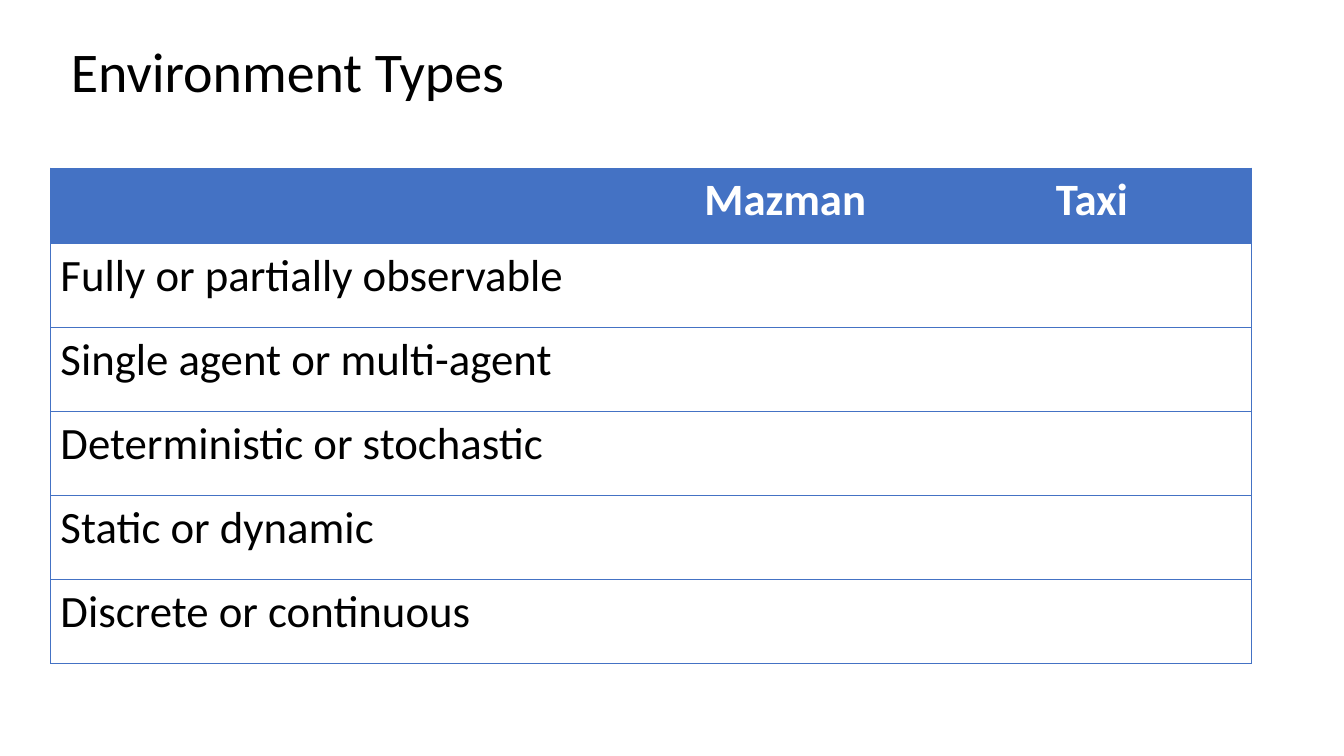
from lxml.etree import SubElement
from pptx import Presentation
from pptx.dml.color import RGBColor
from pptx.enum.text import MSO_ANCHOR as Anchor, PP_ALIGN as Align
from pptx.oxml.ns import qn
from pptx.util import Pt

PX = 9525
FONT = "Calibri"
BLACK, WHITE, BLUE = "000000", "FFFFFF", "4472C4"
PLAIN_STYLE = "{2D5ABB26-0587-4C30-8999-92F81FD0307C}"
HEADINGS = ["", "Mazman", "Taxi"]
PROPERTIES = [
    "Fully or partially observable",
    "Single agent or multi-agent",
    "Deterministic or stochastic",
    "Static or dynamic",
    "Discrete or continuous",
]
COLUMN_WIDTHS = [560, 280, 304]
ROW_HEIGHTS = [72] + [80] * len(PROPERTIES)


def color(code):
    """Turn a hex string into a colour."""
    return RGBColor.from_string(code)


def write(para, text, size, code, bold=False, align=Align.LEFT):
    """Put styled text into a paragraph."""
    para.text = text
    para.alignment = align
    para.font.name = FONT
    para.font.size = Pt(size)
    para.font.bold = bold
    para.font.color.rgb = color(code)


def add_title(page, text):
    """Add the slide title, centred vertically in its box."""
    box = page.shapes.add_textbox(58 * PX, 38 * PX, 1104 * PX, 66 * PX)
    frame = box.text_frame
    frame.word_wrap = True
    frame.vertical_anchor = Anchor.MIDDLE
    write(frame.paragraphs[0], text, 40, BLACK)
    frame.paragraphs[0].line_spacing = 0.9


def add_borders(cell, sides):
    """Draw thin blue lines on the given sides of a cell."""
    properties = cell._tc.get_or_add_tcPr()
    for side in sides:
        line = SubElement(properties, qn(f"a:ln{side}"), w=str(Pt(0.5)))
        fill = SubElement(line, qn("a:solidFill"))
        SubElement(fill, qn("a:srgbClr"), val=BLUE)


def fill_cell(cell, text, is_header, sides):
    """Style one table cell and write its text."""
    add_borders(cell, sides)
    if is_header:
        cell.fill.solid()
        cell.fill.fore_color.rgb = color(BLUE)
        write(cell.text_frame.paragraphs[0], text, 32, WHITE, True, Align.CENTER)
    else:
        cell.fill.background()
        write(cell.text_frame.paragraphs[0], text, 32, BLACK)


def add_grid(page, rows):
    """Add the table with outer borders and lines between rows."""
    frame = page.shapes.add_table(
        len(rows), len(COLUMN_WIDTHS), 48 * PX, 160 * PX,
        sum(COLUMN_WIDTHS) * PX, sum(ROW_HEIGHTS) * PX)
    table = frame.table
    table.horz_banding = False
    table._tbl.tblPr.find(qn("a:tableStyleId")).text = PLAIN_STYLE
    for column, width in zip(table.columns, COLUMN_WIDTHS):
        column.width = width * PX
    last = len(COLUMN_WIDTHS) - 1
    for index, (row, height, texts) in enumerate(zip(table.rows, ROW_HEIGHTS, rows)):
        row.height = height * PX
        for place, (cell, text) in enumerate(zip(row.cells, texts)):
            sides = {0: "LTB", last: "RTB"}.get(place, "TB")
            fill_cell(cell, text, index == 0, sides)


def main():
    """Build and save the slide."""
    deck = Presentation()
    deck.slide_width, deck.slide_height = 1280 * PX, 720 * PX
    page = deck.slides.add_slide(deck.slide_layouts[6])
    add_title(page, "Environment Types")
    add_grid(page, [HEADINGS] + [[name, "", ""] for name in PROPERTIES])
    deck.save("out.pptx")


if __name__ == "__main__":
    main()
